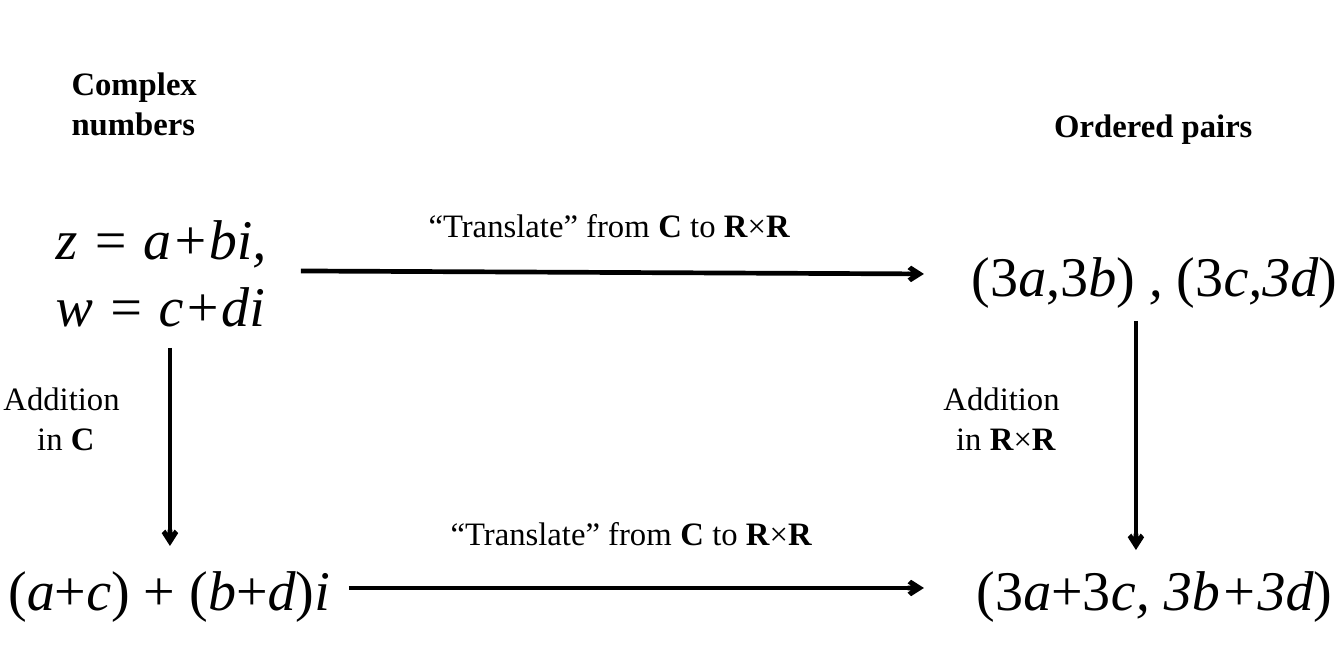
"""Build a slide that maps addition of complex numbers to addition of ordered pairs."""
from pptx import Presentation
from pptx.dml.color import RGBColor as RGB
from pptx.enum.shapes import MSO_CONNECTOR as Link
from pptx.enum.text import PP_ALIGN as Align
from pptx.oxml.ns import qn
from pptx.util import Emu, Pt
from lxml.etree import SubElement as Sub

SCALE = 914400 // 168
SIZE = (1344, 672)
COLORS = {"ink": "000000", "paper": "FFFFFF"}
FONT = "Times New Roman"
LEFT, MID = Align.LEFT, Align.CENTER
MARK = "|"

TITLES = [
    ((55, 55, 207, 119), [("|Complex", LEFT), ("|numbers", LEFT)]),
    ((1008, 97, 291, 67), [("|Ordered pairs", MID)]),
]
TERMS = [
    ((39, 195, 262, 153), [("|z = a+bi,", LEFT), ("|w = c+di", LEFT)]),
    ((953, 232, 403, 84), [("(3|a|,3|b|)| , |(3|c,3d|)", MID)]),
    ((-10, 546, 358, 84), [("(|a|+|c|) + (|b|+|d|)|i", MID)]),
    ((958, 546, 393, 84), [("(3|a|+3|c, 3b+3d|)", MID)]),
]
MOVE = [("“Translate” from |C| to |R|×|R", LEFT)]
STEPS = [
    ((412, 197, 499, 67), MOVE),
    ((434, 505, 499, 67), MOVE),
    ((-13, 370, 158, 119), [("Addition", LEFT), ("in |C", MID)]),
    ((927, 370, 158, 119), [("Addition", LEFT), ("in |R|×|R", MID)]),
]
ARROWS = [
    (301, 271, 924, 274),
    (349, 588, 924, 588),
    (170, 348, 170, 546),
    (1136, 321, 1136, 550),
]


def px(*vals):
    return [Emu(v * SCALE) for v in vals]


def write(slide, box, lines, size, trait):
    frame = slide.shapes.add_textbox(*px(*box)).text_frame
    frame.word_wrap = True
    for n, (line, align) in enumerate(lines):
        para = frame.add_paragraph() if n else frame.paragraphs[0]
        para.alignment = align
        for k, part in enumerate(line.split(MARK)):
            if part:
                run = para.add_run()
                run.text = part
                run.font.name, run.font.size = FONT, Pt(size)
                run.font.color.rgb = RGB.from_string(COLORS["ink"])
                setattr(run.font, trait, k % 2 == 1)


def draw(slide, ends):
    arrow = slide.shapes.add_connector(Link.STRAIGHT, *px(*ends))
    arrow.line.width = Pt(2)
    arrow.line.color.rgb = RGB.from_string(COLORS["ink"])
    Sub(arrow.line._get_or_add_ln(), qn("a:tailEnd"), type="arrow")
    Sub(arrow._element.spPr, qn("a:effectLst"))


def main():
    deck = Presentation()
    deck.slide_width, deck.slide_height = px(*SIZE)
    slide = deck.slides.add_slide(deck.slide_layouts[6])
    fill = slide.background.fill
    fill.solid()
    fill.fore_color.rgb = RGB.from_string(COLORS["paper"])
    for group, size, trait in [(TITLES, 14, "bold"), (TERMS, 24, "italic"),
                               (STEPS, 14, "bold")]:
        for box, lines in group:
            write(slide, box, lines, size, trait)
    for ends in ARROWS:
        draw(slide, ends)
    deck.save("out.pptx")


if __name__ == "__main__":
    main()
